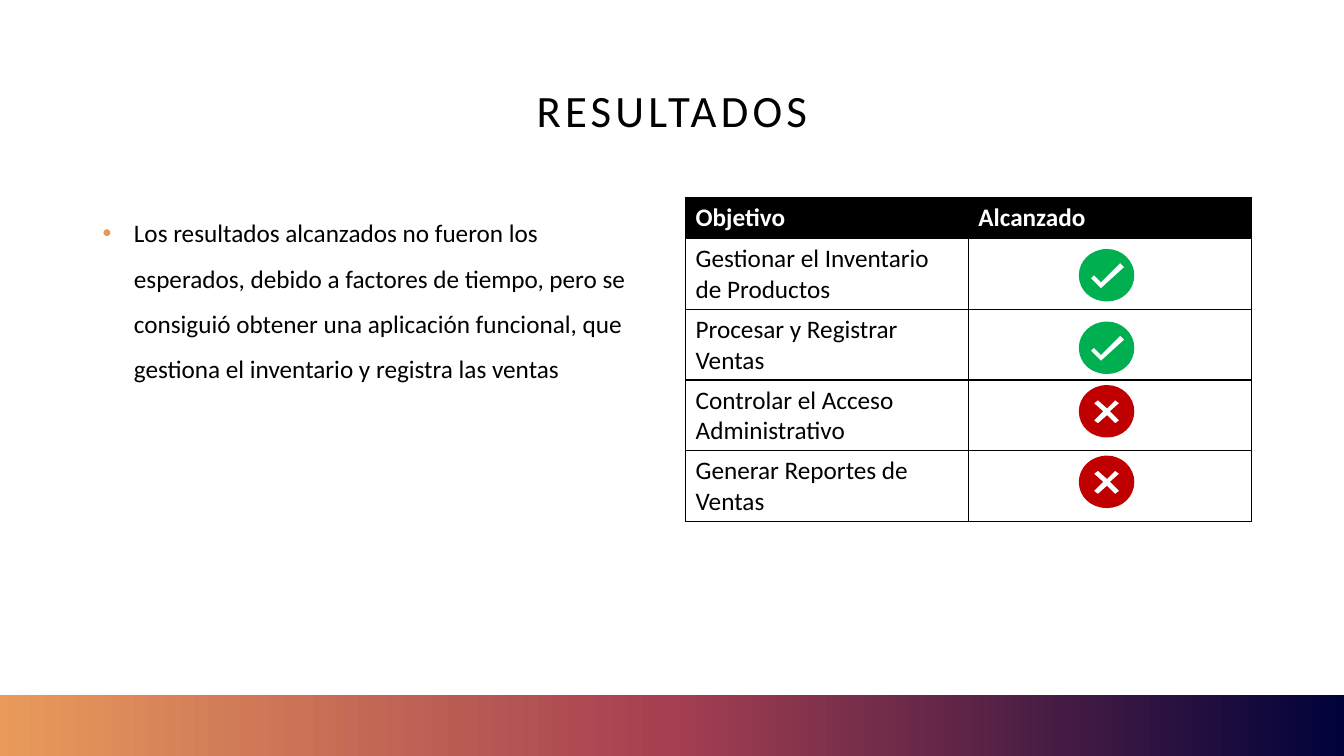
from copy import deepcopy

from pptx import Presentation
from pptx.dml.color import RGBColor
from pptx.enum.shapes import MSO_SHAPE
from pptx.enum.text import MSO_ANCHOR, PP_ALIGN
from pptx.oxml import parse_xml
from pptx.oxml.ns import nsdecls, qn
from pptx.util import Pt

PX = 9144  # EMU per px, 100 px to the inch
BLACK, WHITE, GREEN, RED = "000000", "FFFFFF", "00B050", "C00000"


def color(value):
    return RGBColor.from_string(value)


def write(frame, text, size, ink=BLACK, bold=False):
    """Put one run of text into a frame and return its paragraph and run."""
    frame.word_wrap = True
    para = frame.paragraphs[0]
    span = para.add_run()
    span.text = text
    formats = {"name": "Calibri", "size": Pt(size), "bold": bold}
    for name, value in formats.items():
        setattr(span.font, name, value)
    span.font.color.rgb = color(ink)
    return para, span


deck = Presentation()
deck.slide_width, deck.slide_height = 1333 * PX, 750 * PX
page = deck.slides.add_slide(deck.slide_layouts[6])

# Gradient band along the bottom edge
band = page.shapes.add_shape(MSO_SHAPE.RECTANGLE, 0, 689 * PX, 1333 * PX, 61 * PX)
band.shadow.inherit = False
band.line.fill.background()
band.fill.gradient()
band.fill.gradient_angle = 180
stop_list = next(band._element.spPr.iter(qn("a:gsLst")))
stop_list.insert(1, deepcopy(stop_list[0]))
band_colors = ("00023A", "A53F51", "E99A5B")
for stop, position, value in zip(band.fill.gradient_stops, (0, 0.5, 1), band_colors):
    stop.position = position
    stop.color.rgb = color(value)

# Title
title = page.shapes.add_textbox(92 * PX, 40 * PX, 1149 * PX, 145 * PX)
title.text_frame.vertical_anchor = MSO_ANCHOR.MIDDLE
para, span = write(title.text_frame, "RESULTADOS", 32)
para.alignment = PP_ALIGN.CENTER
para.line_spacing = 0.9
span.font._element.set("spc", "300")

# Bulleted summary
summary = page.shapes.add_textbox(92 * PX, 196 * PX, 561 * PX, 450 * PX)
para, span = write(
    summary.text_frame,
    "Los resultados alcanzados no fueron los esperados, debido a factores de "
    "tiempo, pero se consiguió obtener una aplicación funcional, que gestiona "
    "el inventario y registra las ventas",
    18,
)
para.line_spacing = 1.5
para_format = para._p.get_or_add_pPr()
para_format.set("marL", str(31 * PX))
para_format.set("indent", str(-31 * PX))
for bullet in (
    '<a:buClr {}><a:srgbClr val="E89756"/></a:buClr>',
    '<a:buFont {} typeface="Arial"/>',
    '<a:buChar {} char="•"/>',
):
    para_format.append(parse_xml(bullet.format(nsdecls("a"))))

# Table of goals; the rows grow with their text
rows = [
    ("Objetivo", "Alcanzado"),
    ("Gestionar el Inventario de Productos", ""),
    ("Procesar y Registrar Ventas", ""),
    ("Controlar el Acceso Administrativo", ""),
    ("Generar Reportes de Ventas", ""),
]
goals = page.shapes.add_table(
    len(rows), 2, 680 * PX, 196 * PX, 561 * PX, 41 * len(rows) * PX
).table
for row_index, texts in enumerate(rows):
    header = row_index == 0
    for column_index, text in enumerate(texts):
        cell = goals.cell(row_index, column_index)
        cell_format = cell._tc.get_or_add_tcPr()
        for side in ("lnL", "lnR", "lnT", "lnB"):
            cell_format.append(parse_xml(
                f'<a:{side} {nsdecls("a")} w="{Pt(1)}"><a:solidFill>'
                f'<a:srgbClr val="{BLACK}"/></a:solidFill></a:{side}>'
            ))
        if header:
            cell.fill.solid()
            cell.fill.fore_color.rgb = color(BLACK)
        else:
            cell.fill.background()
        if text:
            write(cell.text_frame, text, 18, WHITE if header else BLACK, header)
        else:
            cell.text_frame.paragraphs[0].font.size = Pt(18)

# Round marks: a disc with the sign cut out of it, measured from its top left
CHECK = [(12, 29), (15, 26), (22, 33), (41, 14), (45, 18), (22, 39)]
CROSS = [(40, 35), (36, 38), (28, 30), (19, 38), (15, 35), (24, 26),
         (15, 18), (19, 15), (28, 23), (36, 15), (40, 18), (31, 26)]
DISC = [(28, 0), (0, 26), (28, 52), (55, 26), (28, 0)]
DISC_CONTROLS = [((12, 0), (0, 12)), ((0, 41), (12, 52)),
                 ((43, 52), (55, 41)), ((55, 12), (43, 0))]
mark_left = 1070
marks = [(247, CHECK, GREEN), (319, CHECK, GREEN), (382, CROSS, RED), (452, CROSS, RED)]
for mark_top, sign, value in marks:
    builder = page.shapes.build_freeform(*DISC[0], scale=PX)
    builder.add_line_segments(DISC[1:])
    builder.move_to(*sign[0])
    builder.add_line_segments(sign[1:])
    mark = builder.convert_to_shape(mark_left * PX, mark_top * PX)
    edges = list(mark._element.spPr.iter(qn("a:lnTo")))
    for edge, controls in zip(edges, DISC_CONTROLS):
        edge.tag = qn("a:cubicBezTo")
        for place, (x, y) in enumerate(controls):
            edge.insert(place, parse_xml(f'<a:pt {nsdecls("a")} x="{x}" y="{y}"/>'))
    mark.shadow.inherit = False
    mark.fill.solid()
    mark.fill.fore_color.rgb = color(value)
    mark.line.fill.background()

deck.save("out.pptx")
